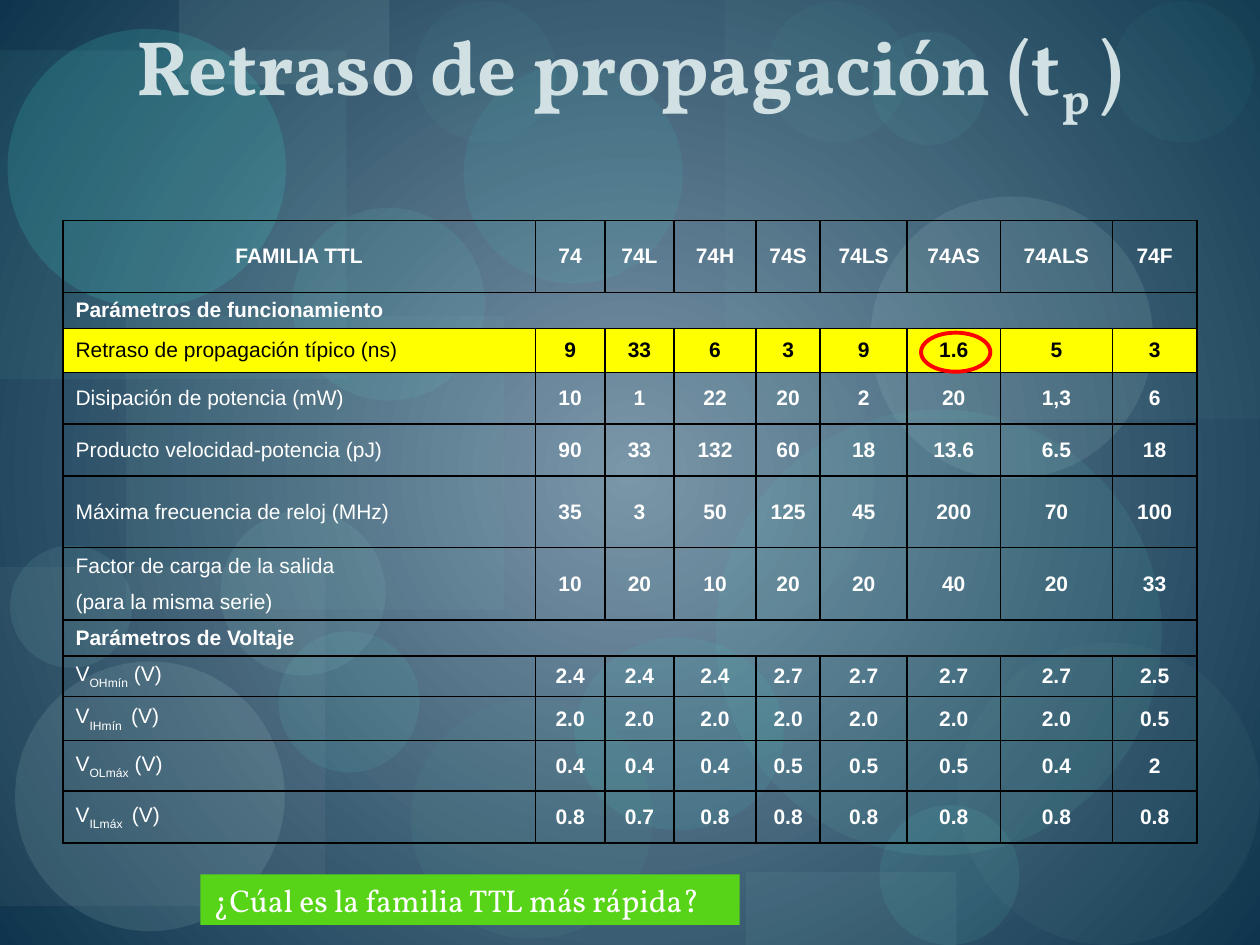
from lxml.etree import SubElement
from pptx import Presentation
from pptx.dml.color import RGBColor
from pptx.enum.shapes import MSO_SHAPE as Shape
from pptx.enum.text import MSO_ANCHOR as Anchor, MSO_AUTO_SIZE as AutoSize, PP_ALIGN as Align
from pptx.oxml.ns import qn
from pptx.util import Inches, Pt

WHITE, BLACK, YELLOW = "FFFFFF", "000000", "FFFF00"

# kind, left, top, width, height, colour, opacity in percent
BACKDROP = [
    ("rect", 1, 2.51, 3, 2.33, "79B5B0", 9),
    ("oval", 3.26, 5.55, 1.92, 1.9, "549791", 13),
    ("rect", 5.75, 0, 4.25, 3.33, "79B5B0", 6),
    ("rect", 0, 4.5, 2.58, 2.69, "B2B7BA", 8),
    ("oval", 4.57, 2.61, 2.38, 2.38, "70A39E", 8),
    ("oval", 6.98, 6.39, 1.11, 1.11, "65E8DC", 9),
    ("oval", 6.91, 1.56, 2.24, 2.24, "C1E8E4", 11),
    ("oval", 0.12, 5.25, 2.14, 2.14, "C1E8E4", 12),
    ("oval", 2.21, 5.01, 1.12, 1.12, "65E8DC", 9),
    ("oval", 4.56, 5.06, 1.66, 1.53, "44EADC", 8),
    ("rect", 0, 0.4, 2.75, 2.61, "77D6CE", 7),
    ("rect", 1.42, 0, 1.67, 0.67, "BED7D4", 10),
    ("oval", 0.06, 0.23, 2.21, 2.21, "44EADC", 15),
    ("oval", 0.08, 4.33, 0.97, 0.97, "97DCD6", 10),
    ("oval", 2.32, 1.65, 1.53, 1.53, "65E8DC", 9),
    ("oval", 3.68, 0.51, 1.74, 1.74, "44EADC", 8),
    ("oval", 5.68, 3.25, 3.54, 3.54, "61CDC4", 10),
    ("oval", 6.08, 0.01, 1.12, 1.12, "65E8DC", 4),
    ("oval", 7.6, 5.1, 2.4, 2.4, "70A39E", 8),
    ("oval", 1.75, 4.05, 1.31, 1.31, "97DCD6", 10),
    ("oval", 6.92, 0.25, 0.9, 0.9, "65E8DC", 6),
    ("oval", 8.83, 0.01, 1.12, 1.12, "65E8DC", 4),
    ("rect", 5.92, 6.92, 1.67, 0.58, "79B5B0", 10),
    ("oval", 3.29, 0.01, 1.12, 1.12, "65E8DC", 4),
]
KINDS = {"rect": Shape.RECTANGLE, "oval": Shape.OVAL}

COLUMN_WIDTHS = [3.75, 0.55, 0.55, 0.65, 0.51, 0.69, 0.74, 0.89, 0.67]
# height, label, values; a label is a text or (text, subscript, text)
ROWS = [
    (0.57, "FAMILIA TTL", "74 74L 74H 74S 74LS 74AS 74ALS 74F"),
    (0.23, "Parámetros de funcionamiento", ""),
    (0.35, "Retraso de propagación típico (ns)", "9 33 6 3 9 1.6 5 3"),
    (0.41, "Disipación de potencia (mW)", "10 1 22 20 2 20 1,3 6"),
    (0.41, "Producto velocidad-potencia (pJ)", "90 33 132 60 18 13.6 6.5 18"),
    (0.57, "Máxima frecuencia de reloj (MHz)", "35 3 50 125 45 200 70 100"),
    (0.21, "Factor de carga de la salida", "10 20 10 20 20 40 20 33"),
    (0.22, "(para la misma serie)", ""),
    (0.23, "Parámetros de Voltaje", ""),
    (0.3, ("V", "OHmín", " (V)"), "2.4 2.4 2.4 2.7 2.7 2.7 2.7 2.5"),
    (0.35, ("V", "IHmín ", " (V)"), "2.0 2.0 2.0 2.0 2.0 2.0 2.0 0.5"),
    (0.4, ("V", "OLmáx", " (V)"), "0.4 0.4 0.4 0.5 0.5 0.5 0.4 2"),
    (0.41, ("V", "ILmáx ", " (V)"), "0.8 0.7 0.8 0.8 0.8 0.8 0.8 0.8"),
]
HEADER, DELAY, LOAD, LOAD_NOTE = 0, 2, 6, 7
SECTIONS = (1, 8)


def rgb(value):
    return RGBColor.from_string(value)


def inches(*lengths):
    return [Inches(length) for length in lengths]


def write(para, parts, size, font, color, bold=False, drop=-30, align=Align.LEFT):
    """Add a text, or alternating normal and subscript parts, as runs."""
    para.alignment = align
    for index, text in enumerate([parts] if isinstance(parts, str) else parts):
        span = para.add_run()
        span.text = text
        span.font.size = Pt(size)
        span.font.name = font
        span.font.bold = bold
        span.font.color.rgb = rgb(color)
        if index % 2:
            span.font._element.set("baseline", str(drop * 1000))


def paint_background(page):
    fill = page.background.fill
    fill.gradient()
    for stop, color, position in zip(fill.gradient_stops, ("7B96AA", "0E354D"), (0, 1)):
        stop.color.rgb = rgb(color)
        stop.position = position
    gradient = page.element.find(".//" + qn("a:gradFill"))
    linear = gradient.find(qn("a:lin"))
    circle = SubElement(gradient, qn("a:path"), path="circle")
    SubElement(circle, qn("a:fillToRect"), dict.fromkeys("ltrb", "50000"))
    gradient.replace(linear, circle)


def add_backdrop(page, kind, left, top, width, height, color, opacity):
    shape = page.shapes.add_shape(KINDS[kind], *inches(left, top, width, height))
    shape.shadow.inherit = False
    shape.line.fill.background()
    shape.fill.solid()
    shape.fill.fore_color.rgb = rgb(color)
    tint = shape.fill._xPr.find(".//" + qn("a:srgbClr"))
    SubElement(tint, qn("a:alpha"), val=str(opacity * 1000))


def set_borders(cell, hidden=""):
    properties = cell._tc.get_or_add_tcPr()
    for side in "LRTB":
        line = SubElement(properties, qn("a:ln" + side), w=str(Pt(1)))
        if side == hidden:
            SubElement(line, qn("a:noFill"))
        else:
            solid = SubElement(line, qn("a:solidFill"))
            SubElement(solid, qn("a:srgbClr"), val=BLACK)


def style_cell(cell, row, column):
    hidden = {LOAD: "B", LOAD_NOTE: "T"}.get(row, "") if column == 0 else ""
    set_borders(cell, hidden)
    if row == DELAY:
        cell.fill.solid()
        cell.fill.fore_color.rgb = rgb(YELLOW)
    else:
        cell.fill.background()
    cell.vertical_anchor = Anchor.BOTTOM if row == SECTIONS[0] else Anchor.MIDDLE


def add_family_table(page):
    frame = page.shapes.add_table(len(ROWS), len(COLUMN_WIDTHS), *inches(0.5, 1.75, 9, 4.96))
    table = frame.table
    table.first_row = table.horz_banding = False
    for column, width in zip(table.columns, COLUMN_WIDTHS):
        column.width = Inches(width)
    last = len(COLUMN_WIDTHS) - 1
    for row, (height, label, values) in enumerate(ROWS):
        table.rows[row].height = Inches(height)
        color = BLACK if row == DELAY else WHITE
        for column in range(last + 1):
            style_cell(table.cell(row, column), row, column)
        for column, text in enumerate([label, *values.split()]):
            centred = column > 0 or row == HEADER
            write(table.cell(row, column).text_frame.paragraphs[0], text, 12, "Arial", color,
                  bold=centred or row in SECTIONS, align=Align.CENTER if centred else Align.LEFT)
    for row in SECTIONS:
        table.cell(row, 0).merge(table.cell(row, last))
    for column in range(1, last + 1):
        table.cell(LOAD, column).merge(table.cell(LOAD_NOTE, column))


def add_fastest_ring(page):
    ring = page.shapes.add_shape(Shape.OVAL, *inches(7.31, 2.64, 0.55, 0.31))
    ring.shadow.inherit = False
    ring.fill.background()
    ring.line.color.rgb = rgb("FF0000")
    ring.line.width = Pt(2.25)


def add_question(page):
    box = page.shapes.add_textbox(*inches(1.59, 6.94, 4.28, 0.4))
    box.fill.solid()
    box.fill.fore_color.rgb = rgb("57D418")
    box.text_frame.word_wrap = False
    box.text_frame.auto_size = AutoSize.SHAPE_TO_FIT_TEXT
    write(box.text_frame.paragraphs[0], "¿Cúal es la familia TTL más rápida?", 18, "Vollkorn", WHITE)


def add_title(page):
    box = page.shapes.add_textbox(*inches(0.5, -0.06, 9, 1.25))
    box.text_frame.word_wrap = True
    box.text_frame.vertical_anchor = Anchor.MIDDLE
    write(box.text_frame.paragraphs[0], ("Retraso de propagación (t", "p ", ")"), 44, "Vollkorn",
          "D1E1E3", bold=True, drop=-25, align=Align.CENTER)


def main():
    deck = Presentation()
    deck.slide_width, deck.slide_height = inches(10, 7.5)
    page = deck.slides.add_slide(deck.slide_layouts[6])
    paint_background(page)
    for item in BACKDROP:
        add_backdrop(page, *item)
    add_family_table(page)
    add_fastest_ring(page)
    add_question(page)
    add_title(page)
    deck.save("out.pptx")


if __name__ == "__main__":
    main()
